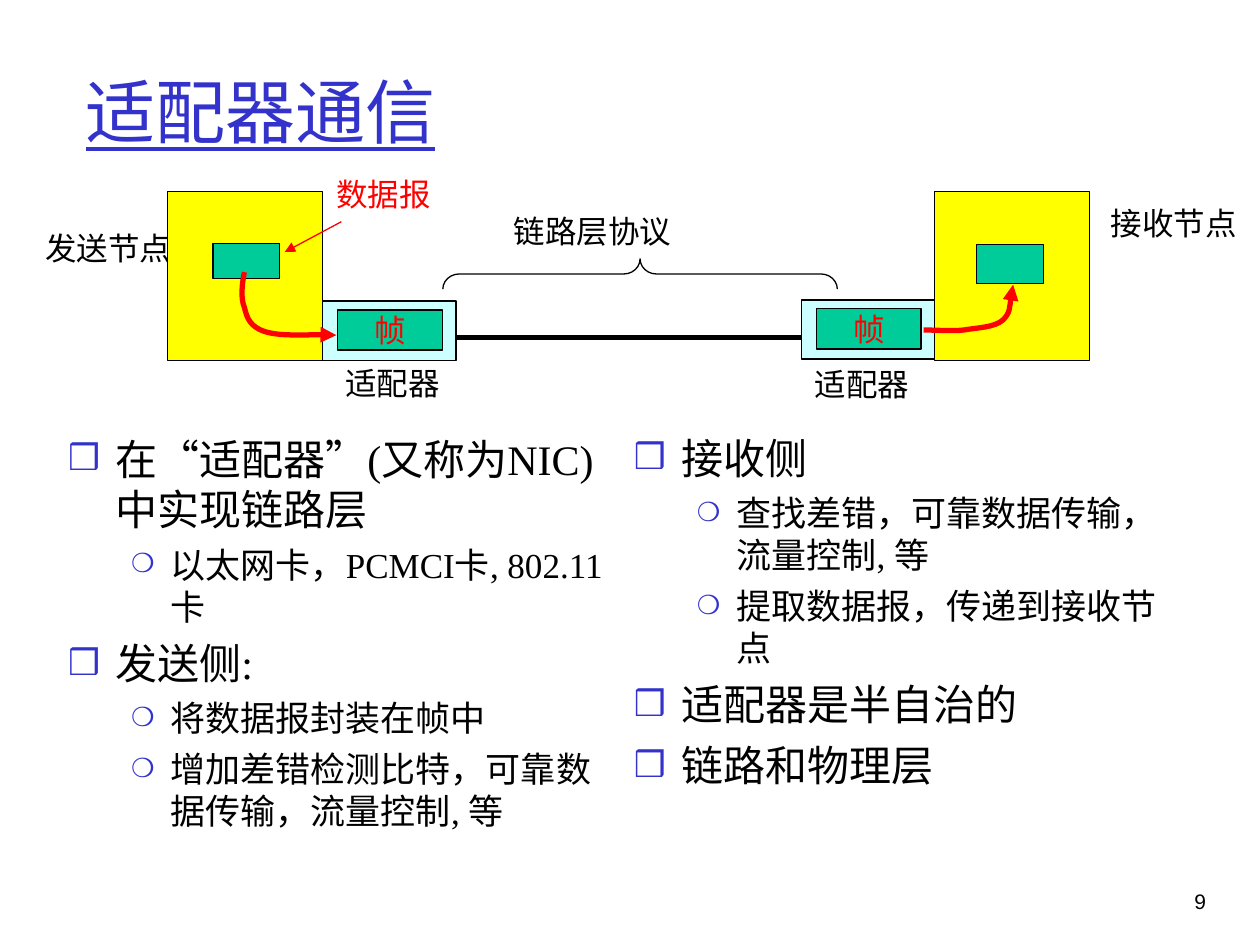
"""Build the slide on communication between link-layer adapters."""
import pptx
import pptx.dml.color
import pptx.enum.shapes
import pptx.enum.text
import pptx.oxml.ns
import pptx.util
import lxml.etree

Pt = pptx.util.Pt
qn = pptx.oxml.ns.qn
SHAPE = pptx.enum.shapes.MSO_SHAPE
ALIGN = pptx.enum.text.PP_ALIGN
ANCHOR = pptx.enum.text.MSO_ANCHOR


def color(value):
    """Turn a hex string into a colour."""
    return pptx.dml.color.RGBColor.from_string(value)


def write(para, text, ink, **formats):
    """Add a span of text with the given font values."""
    span = para.add_run()
    span.text = text
    span.font.color.rgb = color(ink)
    for name, value in formats.items():
        setattr(span.font, name, value)


deck = pptx.Presentation()
deck.slide_width, deck.slide_height = Pt(720), Pt(540)
slide = deck.slides.add_slide(deck.slide_layouts[3])
title, left_list, right_list = slide.placeholders

places = [
    (title, 41.8, 18, 612, 90),
    (left_list, 31.7, 244.1, 320.4, 238.3),
    (right_list, 355, 243.4, 321.8, 235.4),
]
for holder, *place in places:
    holder.left, holder.top, holder.width, holder.height = map(Pt, place)
    holder.text_frame.auto_size = pptx.enum.text.MSO_AUTO_SIZE.NONE

title.text_frame.vertical_anchor = ANCHOR.MIDDLE
title_para = title.text_frame.paragraphs[0]
title_para.alignment = ALIGN.LEFT
write(title_para, "适配器通信", "3333CC", name="Times New Roman", size=Pt(40), underline=True)

levels = [
    {"bullet": "❒", "percent": "85000", "margin": 27, "indent": -27, "size": 24, "before": 6},
    {"bullet": "❍", "percent": "75000", "margin": 58.5, "indent": -22.5, "size": 20, "before": 5},
]
lists = [
    (left_list, [
        (0, "在“适配器”(又称为NIC)中实现链路层"),
        (1, "以太网卡，PCMCI卡, 802.11卡"),
        (0, "发送侧:"),
        (1, "将数据报封装在帧中"),
        (1, "增加差错检测比特，可靠数据传输，流量控制, 等"),
    ]),
    (right_list, [
        (0, "接收侧"),
        (1, "查找差错，可靠数据传输，流量控制, 等"),
        (1, "提取数据报，传递到接收节点"),
        (0, "适配器是半自治的"),
        (0, "链路和物理层"),
    ]),
]
for holder, items in lists:
    frame = holder.text_frame
    for index, (level, text) in enumerate(items):
        style = levels[level]
        para = frame.add_paragraph() if index else frame.paragraphs[0]
        para.level = level
        para.space_before = Pt(style["before"] if index else 0)
        props = para._p.get_or_add_pPr()
        props.set("marL", str(Pt(style["margin"])))
        props.set("indent", str(Pt(style["indent"])))
        bullet_color = lxml.etree.SubElement(props, qn("a:buClr"))
        lxml.etree.SubElement(bullet_color, qn("a:srgbClr"), val="3333CC")
        lxml.etree.SubElement(props, qn("a:buSzPct"), val=style["percent"])
        lxml.etree.SubElement(props, qn("a:buChar"), char=style["bullet"])
        write(para, text, "000000", name="Times New Roman", size=Pt(style["size"]))

labels = [
    ("发送节点", 18.7, 127.4, 86.4, "000000"),
    ("接收节点", 627.8, 113, 86.4, "000000"),
    ("数据报", 185, 96.5, 68.4, "FF0000"),
    ("适配器", 190.1, 204.5, 68.4, "000000"),
    ("适配器", 458.6, 205.2, 68.4, "000000"),
    ("链路层协议", 286.6, 117.4, 104.4, "000000"),
]
for text, left, top, width, ink in labels:
    box = slide.shapes.add_textbox(Pt(left), Pt(top), Pt(width), Pt(28.8))
    box.text_frame.word_wrap = False
    write(box.text_frame.paragraphs[0], text, ink, name="Comic Neue", size=Pt(18))

link = (259.9, 193, 458.6, 193, "000000", 3)
pointer = (195.1, 126.7, 162.7, 144, "FF0000", 0.75)
arrows = []
for *ends, ink, weight in (link, pointer):
    line = slide.shapes.add_connector(
        pptx.enum.shapes.MSO_CONNECTOR.STRAIGHT, *map(Pt, ends))
    line.line.color.rgb = color(ink)
    line.line.width = Pt(weight)
    lxml.etree.SubElement(line._element.spPr, qn("a:effectLst"))
    arrows.append(line)
arrows.remove(arrows[0])

rectangles = [
    (184.3, 172.1, 76.3, 33.8, "CCFFFF", ""),
    (193, 177.1, 59.8, 23, "00CC99", "帧"),
    (457.9, 171.4, 76.3, 33.8, "CCFFFF", ""),
    (466.6, 176.4, 59.8, 23, "00CC99", "帧"),
    (534.2, 109.4, 88.6, 96.5, "FFFF00", ""),
    (558, 139.7, 38.2, 22.3, "00CC99", ""),
    (95.8, 109.4, 88.6, 96.5, "FFFF00", ""),
    (121.7, 139, 38.2, 20.2, "00CC99", ""),
]
for *place, fill, text in rectangles:
    box = slide.shapes.add_shape(SHAPE.RECTANGLE, *map(Pt, place))
    box.shadow.inherit = False
    box.fill.solid()
    box.fill.fore_color.rgb = color(fill)
    box.line.color.rgb = color("000000")
    box.line.width = Pt(0.75)
    if text:
        box.text_frame.word_wrap = False
        box.text_frame.vertical_anchor = ANCHOR.MIDDLE
        para = box.text_frame.paragraphs[0]
        para.alignment = ALIGN.CENTER
        write(para, text, "FF0000", name="Comic Neue", size=Pt(18))

pointer_line = arrows[0]._element
pointer_line.getparent().append(pointer_line)

brace = slide.shapes.add_shape(SHAPE.LEFT_BRACE, Pt(357.1), Pt(43.9), Pt(17.3), Pt(225.4))
brace.rotation = 90
brace.adjustments[0] = 0.54
brace.shadow.inherit = False
brace.fill.background()
brace.line.color.rgb = color("000000")
brace.line.width = Pt(0.75)

curves = [
    [(139.7, 155.5), (138.2, 162.7), (137.5, 170.6), (139.7, 175.7), (141.1, 181.4),
     (142.6, 186.5), (151.2, 189.4), (159.8, 192.2), (185, 190.8), (192.2, 191.5)],
    [(527.8, 188.6), (535.7, 188.6), (543.6, 189.4), (550.8, 188.6), (558.7, 187.2),
     (568.1, 187.2), (573.1, 182.9), (577.4, 178.6), (578.2, 165.6), (578.9, 162.7)],
]
for points in curves:
    start, *rest = [(Pt(x), Pt(y)) for x, y in points]
    builder = slide.shapes.build_freeform(*start)
    builder.add_line_segments(rest, close=False)
    curve = builder.convert_to_shape()
    outline = curve._element.find(".//" + qn("a:path"))
    segments = outline.findall(qn("a:lnTo"))
    for first in range(0, len(segments), 3):
        bend = lxml.etree.SubElement(outline, qn("a:cubicBezTo"))
        for segment in segments[first:first + 3]:
            bend.append(segment[0])
            outline.remove(segment)
    curve.shadow.inherit = False
    curve.fill.background()
    curve.line.color.rgb = color("FF0000")
    curve.line.width = Pt(3)
    arrows.append(curve)

for arrow in arrows:
    lxml.etree.SubElement(arrow.line._get_or_add_ln(), qn("a:tailEnd"), type="triangle")

number = slide.shapes.add_textbox(Pt(643), Pt(504), Pt(53.3), Pt(36))
number.text_frame.word_wrap = True
number_para = number.text_frame.paragraphs[0]
number_para.alignment = ALIGN.RIGHT
write(number_para, "9", "000000", name="Arial", size=Pt(12))

deck.save("out.pptx")
